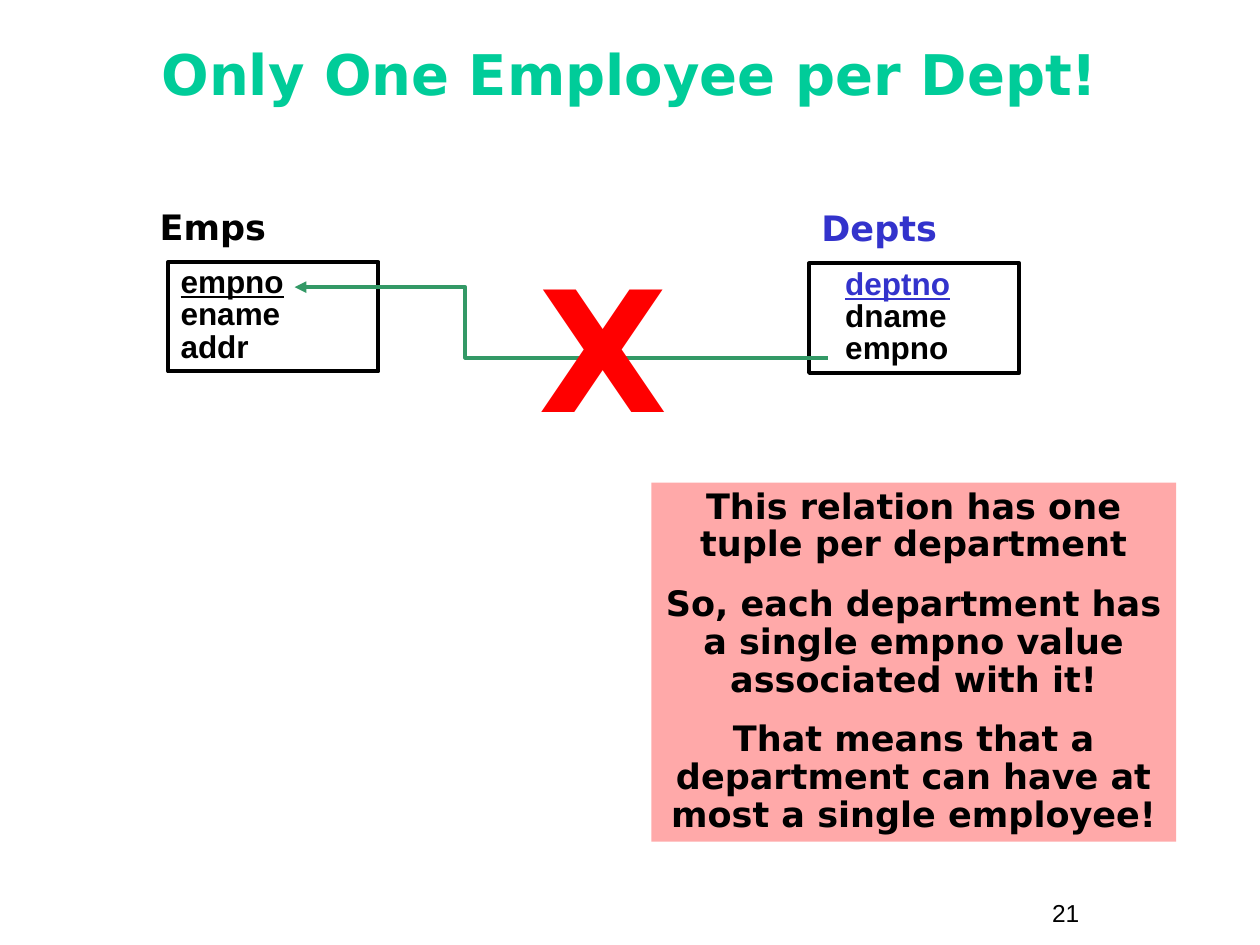
from dataclasses import dataclass

from lxml.etree import SubElement
from pptx import Presentation
from pptx.dml.color import RGBColor
from pptx.enum.shapes import MSO_CONNECTOR, MSO_SHAPE
from pptx.enum.text import MSO_ANCHOR, PP_ALIGN
from pptx.oxml.ns import qn
from pptx.slide import Slide
from pptx.text.text import TextFrame
from pptx.util import Cm, Pt

HUES = {
    "black": "000000",
    "blue": "3333CC",
    "teal": "00CC99",
    "green": "339966",
    "red": "FF0000",
    "pink": "FFA9A9",
}
SANS, ARIAL = "DejaVu Sans", "Arial"


@dataclass(frozen=True)
class Spot:
    """Place and size in centimetres."""
    left: float
    top: float
    width: float
    height: float

    def cm(self) -> tuple:
        return tuple(Cm(v) for v in (self.left, self.top, self.width, self.height))


@dataclass(frozen=True)
class Style:
    """Look of a text."""
    size: float
    hue: str = "black"
    font: str = SANS
    bold: bool = True
    line: float = 1.0
    gap: float = 0
    align: PP_ALIGN = PP_ALIGN.LEFT


@dataclass(frozen=True)
class Table:
    """Relation with a name, a key and other fields."""
    name: str
    fields: tuple
    hue: str
    label: Spot
    box: Spot
    inset: float = 0


TABLES = (
    Table("Emps", ("empno", "ename", "addr"), "black",
          Spot(2.97, 4.01, 5.46, 1.12), Spot(3.39, 5.28, 4.24, 2.21)),
    Table("Depts", ("deptno", "dname", "empno"), "blue",
          Spot(16.31, 4.04, 5.46, 1.12), Spot(16.31, 5.31, 4.24, 2.21), 0.48),
)
NOTES = (
    "This relation has one tuple per department",
    "So, each department has a single empno value associated with it!",
    "That means that a department can have at most a single employee!",
)


def color(name: str) -> RGBColor:
    """Look up a colour."""
    return RGBColor.from_string(HUES[name])


def write(frame: TextFrame, lines: tuple, style: Style) -> None:
    """Write one paragraph per line."""
    frame.word_wrap = True
    for i, text in enumerate(lines):
        para = frame.add_paragraph() if i else frame.paragraphs[0]
        para.alignment = style.align
        para.line_spacing = style.line
        para.space_before = Pt(style.gap if i else 0)
        run = para.add_run()
        run.text = text
        font = run.font
        font.name, font.size, font.bold = style.font, Pt(style.size), style.bold
        font.color.rgb = color(style.hue)


def label(slide: Slide, spot: Spot, text: str, style: Style) -> None:
    """Add a text box with one line."""
    write(slide.shapes.add_textbox(*spot.cm()).text_frame, (text,), style)


def panel(slide: Slide, spot: Spot, fill: str = "", edge: str = "") -> TextFrame:
    """Add a rectangle and return its text frame."""
    shape = slide.shapes.add_shape(MSO_SHAPE.RECTANGLE, *spot.cm())
    shape.shadow.inherit = False
    if fill:
        shape.fill.solid()
        shape.fill.fore_color.rgb = color(fill)
    else:
        shape.fill.background()
    if edge:
        shape.line.color.rgb = color(edge)
        shape.line.width = Pt(2.25)
    else:
        shape.line.fill.background()
    shape.text_frame.vertical_anchor = MSO_ANCHOR.TOP
    return shape.text_frame


def draw(slide: Slide, table: Table) -> None:
    """Draw a relation with its key underlined."""
    label(slide, table.label, table.name, Style(20, table.hue))
    frame = panel(slide, table.box, edge="black")
    write(frame, table.fields, Style(18, font=ARIAL, line=0.85))
    for para in frame.paragraphs:
        para._p.get_or_add_pPr().set("marL", str(Cm(table.inset)))
    key = frame.paragraphs[0].runs[0].font
    key.underline = True
    key.color.rgb = color(table.hue)


def link(slide: Slide, start: tuple, end: tuple, bend: float) -> None:
    """Add an elbow arrow that bends at a share of its width."""
    ends = [Cm(v) for v in start + end]
    arrow = slide.shapes.add_connector(MSO_CONNECTOR.ELBOW, *ends)
    arrow.line.color.rgb = color("green")
    arrow.line.width = Pt(2.25)
    SubElement(arrow.line._get_or_add_ln(), qn("a:tailEnd"), type="triangle")
    props = arrow._element.spPr
    SubElement(props, qn("a:effectLst"))
    guides = props.find(qn("a:prstGeom")).get_or_add_avLst()
    SubElement(guides, qn("a:gd"), name="adj1", fmla=f"val {round(bend * 100000)}")


def main() -> None:
    """Build the slide."""
    deck = Presentation()
    deck.slide_width, deck.slide_height = Cm(25.4), Cm(19.05)
    slide = deck.slides.add_slide(deck.slide_layouts[5])
    mid = PP_ALIGN.CENTER

    title = slide.shapes.title
    title.left, title.top, title.width, title.height = Spot(0.85, 0.42, 23.7, 2.33).cm()
    title.text_frame.vertical_anchor = MSO_ANCHOR.MIDDLE
    write(title.text_frame, ("Only One Employee per Dept!",),
          Style(32, "teal", line=0.85, align=mid))

    for table in TABLES:
        draw(slide, table)
    link(slide, (16.69, 7.21), (5.94, 5.79), 0.68)
    label(slide, Spot(10.36, 5.26, 3.6, 3.91), "X",
          Style(96, "red", line=0.9, align=mid))
    write(panel(slide, Spot(13.13, 9.73, 10.58, 7.24), fill="pink"), NOTES,
          Style(20, line=0.9, gap=12.5, align=mid))
    label(slide, Spot(20.96, 17.98, 2.34, 0.86), "21",
          Style(14, font=ARIAL, bold=False))
    deck.save("out.pptx")


if __name__ == "__main__":
    main()
